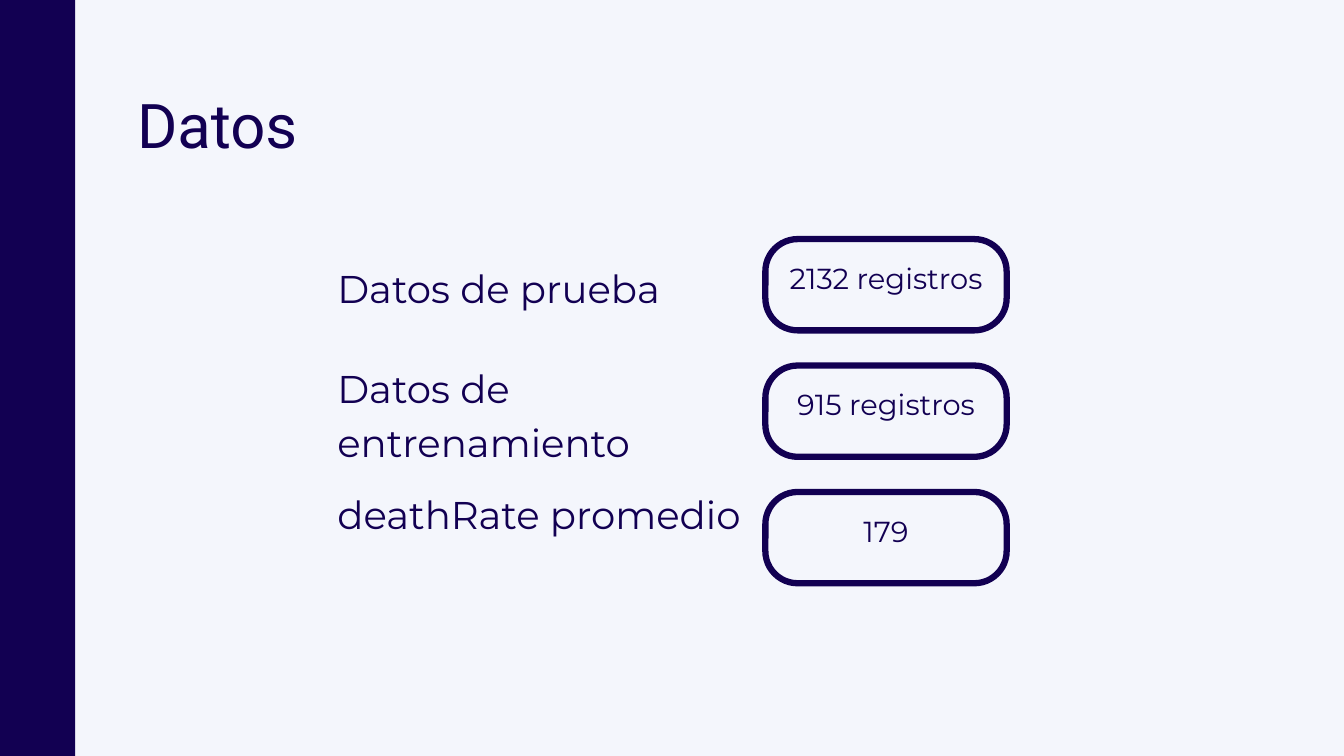
from pptx import Presentation
from pptx import util as u
from pptx.dml.color import RGBColor
from pptx.enum import shapes, text

NAVY, PALE = "120052", "F4F6FC"

TITLE = "Datos"
# label, value, label offset from the top of its pill (cm), label height (cm)
ROWS = [
    ("Datos de prueba", "2132 registros", 0.69, 1.93),
    ("Datos de entrenamiento", "915 registros", -0.33, 3.96),
    ("deathRate promedio", "179", -0.33, 3.96),
]

SLIDE_W, SLIDE_H = 50.8, 28.58
SIDEBAR_W = 2.84
LABEL_LEFT, LABEL_W = 12.75, 15.54
PILL_LEFT, PILL_TOP, PILL_W, PILL_H = 28.93, 9.04, 9.12, 3.45
PILL_RADIUS = 1.22
ROW_PITCH = 4.78
VALUE_RISE = 0.74  # the value's text box starts this far above its pill


def color(value):
    return RGBColor.from_string(value)


def add_block(slide, kind, left, top, width, height, fill, line_width=None):
    """Add a filled preset shape, outlined in navy if line_width is given."""
    block = slide.shapes.add_shape(
        kind, u.Cm(left), u.Cm(top), u.Cm(width), u.Cm(height))
    block.shadow.inherit = False
    block.fill.solid()
    block.fill.fore_color.rgb = color(fill)
    if line_width is None:
        block.line.fill.background()
    else:
        block.line.color.rgb = color(NAVY)
        block.line.width = u.Pt(line_width)
    return block


def add_text(slide, words, left, top, width, height, *, size, spacing,
             font="Montserrat", align=text.PP_ALIGN.LEFT,
             anchor=text.MSO_ANCHOR.TOP):
    box = slide.shapes.add_textbox(
        u.Cm(left), u.Cm(top), u.Cm(width), u.Cm(height))
    frame = box.text_frame
    frame.word_wrap = True
    frame.vertical_anchor = anchor
    frame.margin_left = frame.margin_right = 0
    frame.margin_top = frame.margin_bottom = 0
    para = frame.paragraphs[0]
    para.alignment = align
    para.line_spacing = u.Pt(spacing)
    span = para.add_run()
    span.text = words
    span.font.name = font
    span.font.size = u.Pt(size)
    span.font.color.rgb = color(NAVY)


def main():
    deck = Presentation()
    deck.slide_width, deck.slide_height = u.Cm(SLIDE_W), u.Cm(SLIDE_H)
    slide = deck.slides.add_slide(deck.slide_layouts[6])
    slide.background.fill.solid()
    slide.background.fill.fore_color.rgb = color(PALE)

    add_block(slide, shapes.MSO_SHAPE.RECTANGLE,
              0, 0, SIDEBAR_W, SLIDE_H, NAVY)
    add_text(slide, TITLE, 5.18, 3.3, 18.8, 2.8,
             size=66, spacing=79.2, font="Roboto")

    for index, (label, value, offset, label_h) in enumerate(ROWS):
        top = PILL_TOP + index * ROW_PITCH
        pill = add_block(slide, shapes.MSO_SHAPE.ROUNDED_RECTANGLE,
                         PILL_LEFT, top, PILL_W, PILL_H, PALE, line_width=6.75)
        pill.adjustments[0] = PILL_RADIUS / PILL_H
        add_text(slide, value, PILL_LEFT, top - VALUE_RISE,
                 PILL_W, PILL_H + VALUE_RISE, size=31, spacing=43.4,
                 align=text.PP_ALIGN.CENTER, anchor=text.MSO_ANCHOR.MIDDLE)
        add_text(slide, label, LABEL_LEFT, top + offset, LABEL_W, label_h,
                 size=41.4, spacing=57.9)

    deck.save("out.pptx")


if __name__ == "__main__":
    main()
